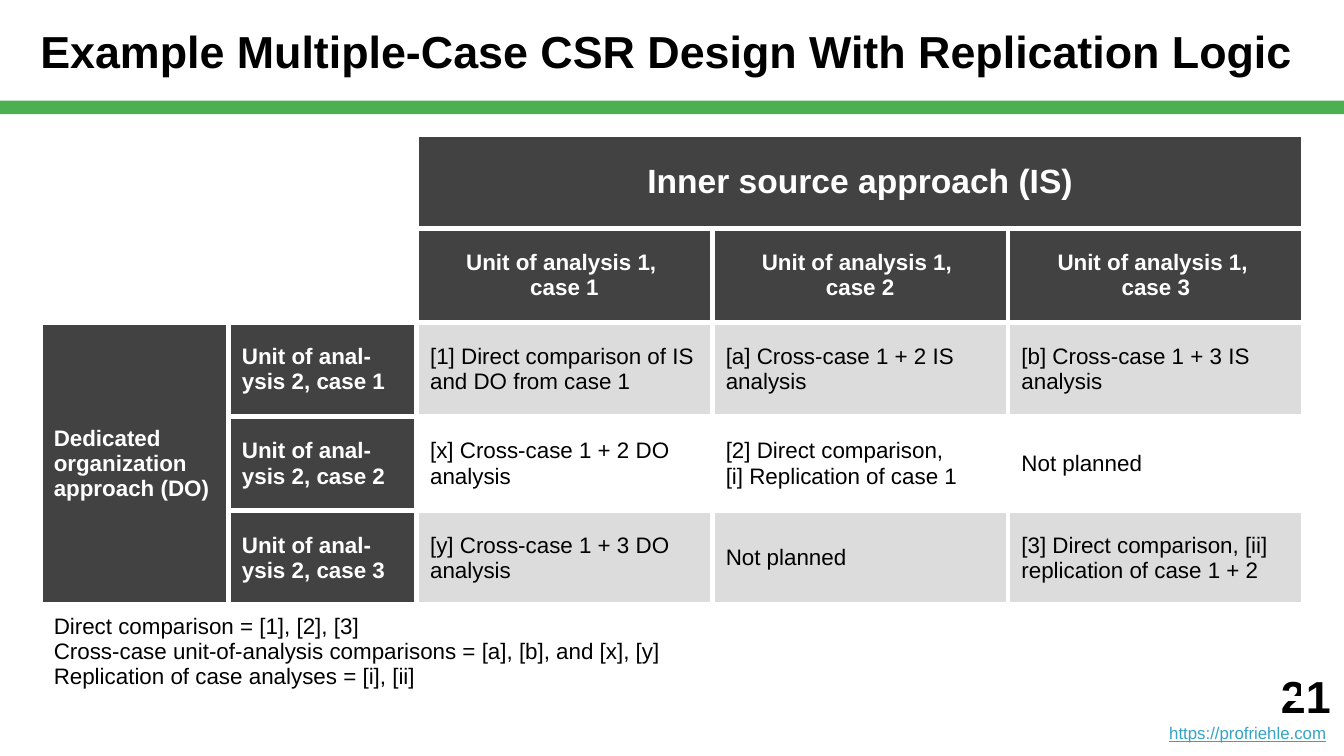
from pptx import Presentation
from pptx.dml.color import RGBColor
from pptx.enum.shapes import MSO_SHAPE
from pptx.enum.text import MSO_ANCHOR, PP_ALIGN
from pptx.oxml import parse_xml
from pptx.oxml.ns import nsdecls
from pptx.util import Inches, Pt

BLACK = RGBColor(0x00, 0x00, 0x00)
WHITE = RGBColor(0xFF, 0xFF, 0xFF)
GREEN = RGBColor(0x4C, 0xAF, 0x50)
DARK = RGBColor(0x42, 0x42, 0x42)
LIGHT = RGBColor(0xDC, 0xDC, 0xDC)
LINK = RGBColor(0x34, 0xA3, 0xC5)
GREY = RGBColor(0x80, 0x80, 0x80)


def add_span(paragraph, text, size, color, bold=False):
    span = paragraph.add_run()
    span.text = text
    span.font.name = "Arial"
    span.font.size = Pt(size)
    span.font.bold = bold
    span.font.color.rgb = color
    return span


def fill_cell(cell, lines, fill, size=12, color=BLACK, bold=False, align=PP_ALIGN.LEFT):
    """Write one paragraph per line; a newline inside a line is a soft break."""
    cell.fill.solid()
    cell.fill.fore_color.rgb = fill
    cell.vertical_anchor = MSO_ANCHOR.MIDDLE
    cell.margin_left = cell.margin_right = Inches(0.1)
    cell.margin_top = cell.margin_bottom = Inches(0.1)
    for index, line in enumerate(lines):
        frame = cell.text_frame
        paragraph = frame.paragraphs[0] if index == 0 else frame.add_paragraph()
        paragraph.alignment = align
        for part_index, part in enumerate(line.split("\n")):
            if part_index:
                paragraph.add_line_break()
            add_span(paragraph, part, size, color, bold)


deck = Presentation()
deck.slide_width = Inches(10)
deck.slide_height = Inches(10 * 9 / 16)
page = deck.slides.add_slide(deck.slide_layouts[6])

# Title and green rule
rule = page.shapes.add_shape(
    MSO_SHAPE.RECTANGLE, Inches(0), Inches(0.75), Inches(10), Inches(0.1))
rule.shadow.inherit = False
rule.fill.solid()
rule.fill.fore_color.rgb = GREEN
rule.line.fill.background()

title = page.shapes.add_textbox(Inches(0), Inches(0), Inches(10), Inches(0.75)).text_frame
title.word_wrap = True
title.vertical_anchor = MSO_ANCHOR.MIDDLE
title.margin_left = Inches(0.3)
title.margin_top = title.margin_right = title.margin_bottom = Inches(0)
add_span(title.paragraphs[0], "Example Multiple-Case CSR Design With Replication Logic",
         24, BLACK, True)

# Page number and web address
footer = page.shapes.add_textbox(Inches(8), Inches(4.83), Inches(2), Inches(0.8)).text_frame
footer.word_wrap = True
footer.vertical_anchor = MSO_ANCHOR.BOTTOM
footer.margin_left = footer.margin_right = Inches(0.1)
footer.margin_top = footer.margin_bottom = Inches(0.1)
number = footer.paragraphs[0]
address = footer.add_paragraph()
number.alignment = address.alignment = PP_ALIGN.RIGHT
add_span(number, "21", 24, BLACK, True)
add_span(address, "https://profriehle.com", 9, LINK).font.underline = True
add_span(address, " ", 9, GREY)

# Design matrix
COLUMN_WIDTHS = [1.4, 1.4, 2.2, 2.2, 2.2]
ROW_COUNT, ROW_HEIGHT = 6, 0.7
matrix = page.shapes.add_table(
    ROW_COUNT, len(COLUMN_WIDTHS), Inches(0.3), Inches(1),
    Inches(sum(COLUMN_WIDTHS)), Inches(ROW_COUNT * ROW_HEIGHT)).table
matrix.first_row = False
matrix.horz_banding = False
for column, width in zip(matrix.columns, COLUMN_WIDTHS):
    column.width = Inches(width)
for row in matrix.rows:
    row.height = Inches(ROW_HEIGHT)

for cell in matrix.iter_cells():
    cell.fill.background()
    properties = cell._tc.get_or_add_tcPr()
    for position, side in enumerate(["lnL", "lnR", "lnT", "lnB"]):
        properties.insert(position, parse_xml(
            f'<a:{side} {nsdecls("a")} w="{Pt(3)}"><a:solidFill>'
            f'<a:srgbClr val="{WHITE}"/></a:solidFill></a:{side}>'))

for first, last in [((0, 0), (1, 1)), ((0, 2), (0, 4)), ((2, 0), (4, 0)), ((5, 0), (5, 4))]:
    matrix.cell(*first).merge(matrix.cell(*last))

fill_cell(matrix.cell(0, 0), [], WHITE)
fill_cell(matrix.cell(0, 2), ["Inner source approach (IS)"], DARK, 18, WHITE, True,
          PP_ALIGN.CENTER)
fill_cell(matrix.cell(2, 0), ["Dedicated organization approach (DO)"], DARK,
          color=WHITE, bold=True)
for case in range(1, 4):
    fill_cell(matrix.cell(1, case + 1), ["Unit of analysis 1, ", f"case {case}"], DARK,
              color=WHITE, bold=True, align=PP_ALIGN.CENTER)
    fill_cell(matrix.cell(case + 1, 1), [f"Unit of anal- ysis 2, case {case}"], DARK,
              color=WHITE, bold=True)

COMPARISONS = [
    ["[1] Direct comparison of IS and DO from case 1",
     "[a] Cross-case 1 + 2 IS analysis",
     "[b] Cross-case 1 + 3 IS analysis"],
    ["[x] Cross-case 1 + 2 DO analysis",
     "[2] Direct comparison,\n[i] Replication of case 1",
     "Not planned"],
    ["[y] Cross-case 1 + 3 DO analysis",
     "Not planned",
     "[3] Direct comparison, [ii] replication of case 1 + 2"],
]
for row_index, texts in enumerate(COMPARISONS):
    for column_index, text in enumerate(texts):
        fill_cell(matrix.cell(row_index + 2, column_index + 2), [text],
                  WHITE if row_index == 1 else LIGHT)

legend = matrix.cell(5, 0)
fill_cell(legend, [
    "Direct comparison = [1], [2], [3]",
    "Cross-case unit-of-analysis comparisons = [a], [b], and [x], [y]",
    "Replication of case analyses = [i], [ii]",
], WHITE)
legend.fill.background()
legend.margin_top = legend.margin_bottom = Inches(0)

deck.save("out.pptx")
